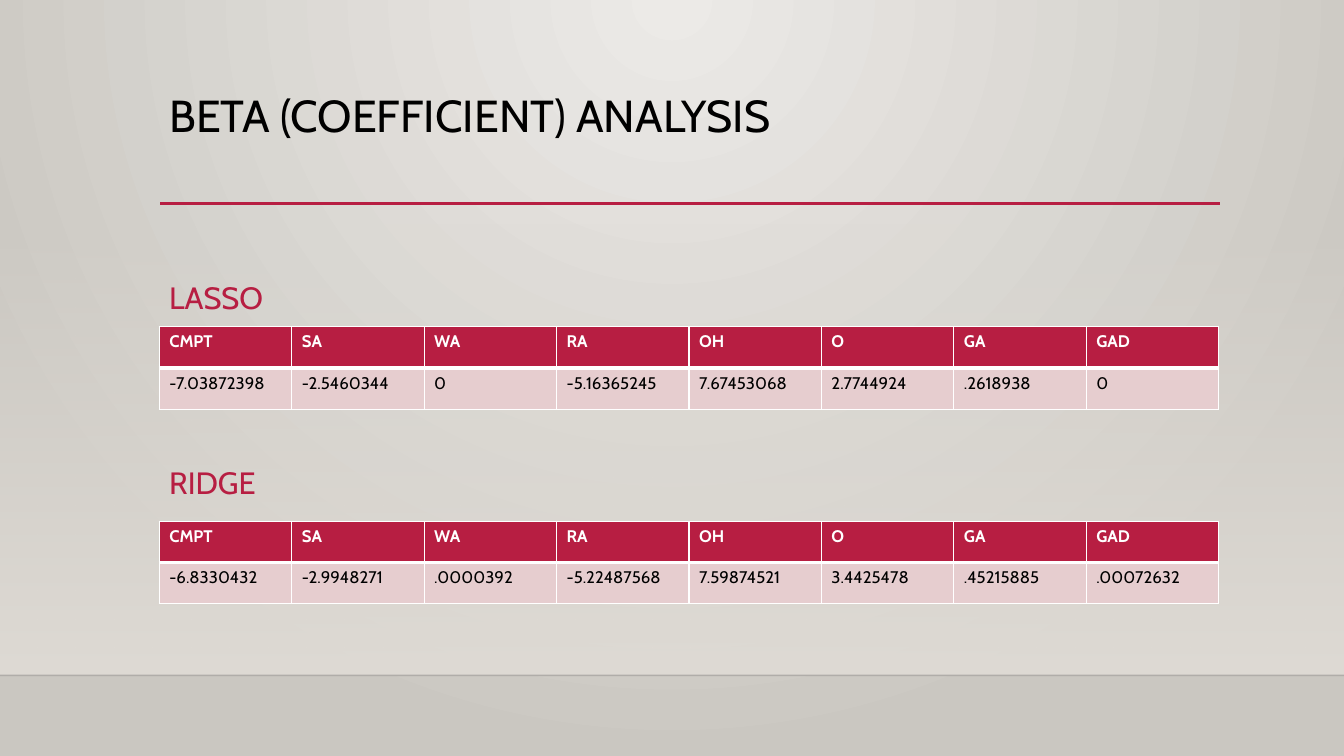
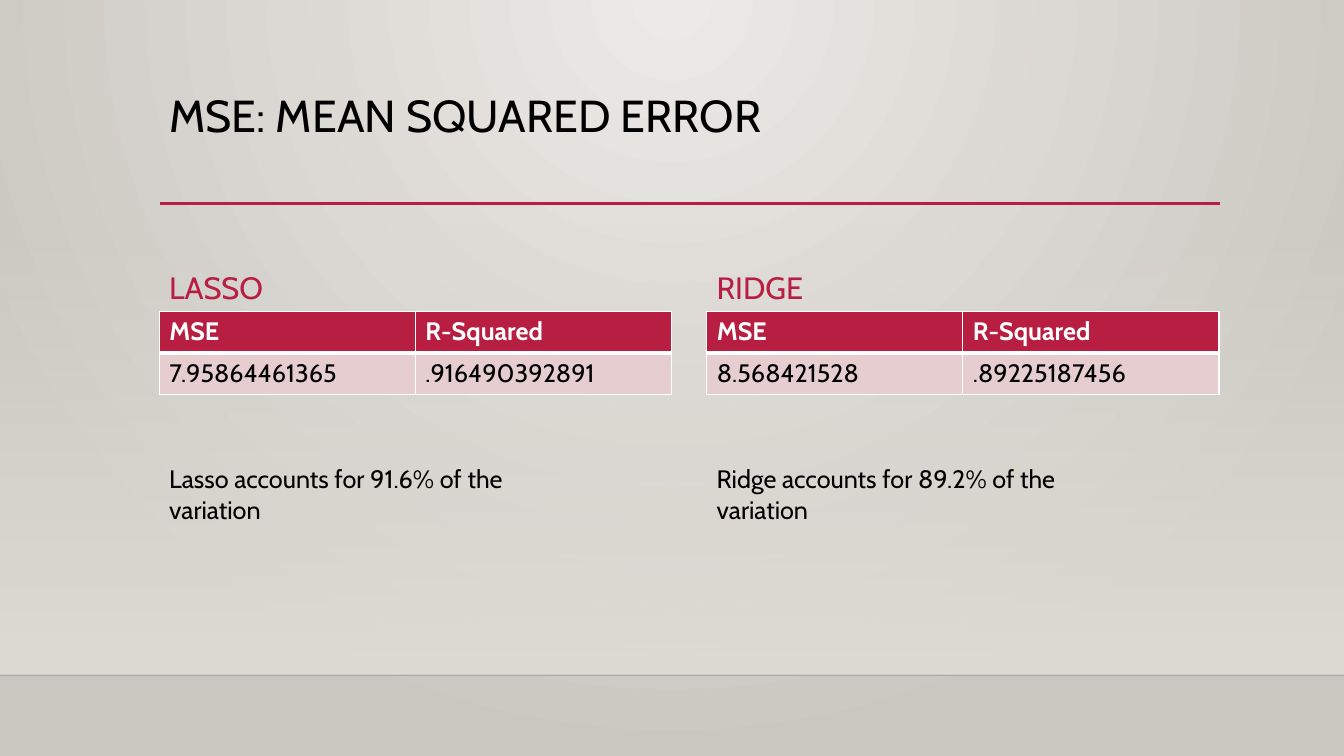
"""Build two slides comparing Lasso and Ridge regression results."""
from lxml import etree
from pptx import Presentation, util as u
from pptx.dml.color import RGBColor
from pptx.enum import shapes, text
from pptx.oxml.ns import qn

FONT = "Cabin"
CRIMSON = RGBColor(0xB7, 0x1E, 0x42)
BLUSH = RGBColor(0xE6, 0xCD, 0xCF)
WHITE = RGBColor(0xFF, 0xFF, 0xFF)
BLACK = RGBColor(0, 0, 0)
SHELF = RGBColor(0, 0, 1)
LIGHT = RGBColor(0xEC, 0xEA, 0xE7)
EDGE = RGBColor(0xCA, 0xC7, 0xC1)
WALL = RGBColor(0xDF, 0xDB, 0xD5)

WIDTH, HEIGHT = 13.33, 7.5
LEFT, CONTENT, HALF = 1.58, 10.51, 5.08
RIGHT = LEFT + CONTENT - HALF
WALL_TOP, FLOOR, RULE = 2.21, 6.7, 2.02
ROW, HEADING, NOTE_WIDTH = 0.41, 0.44, 4.41

BETA_NAMES = ["CMPT", "SA", "WA", "RA", "OH", "O", "GA", "GAD"]
LASSO_BETAS = ["-7.03872398", "-2.5460344", "0", "-5.16365245",
               "7.67453068", "2.7744924", ".2618938", "0"]
RIDGE_BETAS = ["-6.8330432", "-2.9948271", ".0000392", "-5.22487568",
               "7.59874521", "3.4425478", ".45215885", ".00072632"]
SCORE_NAMES = ["MSE", "R-Squared"]

SLIDES = [
    {"title": "BETA (COEFFICIENT) ANALYSIS", "names": BETA_NAMES, "width": CONTENT, "size": 12,
     "models": [
         {"name": "LASSO", "values": LASSO_BETAS, "left": LEFT, "top": 3.24, "gap": 0.05},
         {"name": "RIDGE", "values": RIDGE_BETAS, "left": LEFT, "top": 5.17, "gap": 0.15}]},
    {"title": "MSE: MEAN SQUARED ERROR", "names": SCORE_NAMES, "width": HALF, "size": 18,
     "models": [
         {"name": "LASSO", "values": ["7.95864461365", ".916490392891"], "left": LEFT,
          "top": 3.09, "gap": 0, "note": "Lasso accounts for 91.6% of the variation"},
         {"name": "RIDGE", "values": ["8.568421528", ".89225187456"], "left": RIGHT,
          "top": 3.09, "gap": 0, "note": "Ridge accounts for 89.2% of the variation"}]},
]
NOTE_TOP = 4.55


def inches(*lengths):
    return [u.Inches(length) for length in lengths]


def write(frame, words, size, color, bold=False):
    paragraph = frame.paragraphs[0]
    paragraph.alignment = text.PP_ALIGN.LEFT
    run = paragraph.add_run()
    run.text = words
    run.font.name, run.font.size, run.font.bold = FONT, u.Pt(size), bold
    run.font.color.rgb = color
    return paragraph


def set_alpha(color_element, percent):
    etree.SubElement(color_element, qn("a:alpha"), val=str(percent * 1000))


def blend(fill, first, last):
    fill.gradient()
    for stop, color in zip(fill.gradient_stops, (first, last)):
        stop.color.rgb = color
    fill.gradient_stops[0].position, fill.gradient_stops[1].position = 0, 1


def add_rule(slide, left, top, width, color, weight):
    rule = slide.shapes.add_connector(
        shapes.MSO_CONNECTOR.STRAIGHT, *inches(left, top, left + width, top))
    rule.line.color.rgb, rule.line.width = color, u.Pt(weight)
    etree.SubElement(rule.element.spPr, qn("a:effectLst"))
    return rule


def paint_background(layout):
    blend(layout.background.fill, LIGHT, EDGE)
    gradient = next(layout.element.iter(qn("a:gradFill")))
    gradient.remove(gradient.find(qn("a:lin")))
    glow = etree.SubElement(gradient, qn("a:path"))
    glow.set("path", "circle")
    etree.SubElement(glow, qn("a:fillToRect"), l="43000", t="0", r="43000", b="100000")


def add_backdrop(slide):
    wall = slide.shapes.add_shape(
        shapes.MSO_SHAPE.RECTANGLE, *inches(0, WALL_TOP, WIDTH, FLOOR - WALL_TOP))
    wall.shadow.inherit = False
    wall.line.fill.background()
    blend(wall.fill, WALL, WALL)
    wall.fill.gradient_angle = 270
    set_alpha(next(wall.element.spPr.iter(qn("a:srgbClr"))), 0)
    shelf = add_rule(slide, 0, FLOOR, WIDTH, SHELF, 1)
    set_alpha(next(shelf.element.spPr.iter(qn("a:srgbClr"))), 20)
    add_rule(slide, LEFT + 0.01, RULE, CONTENT, CRIMSON, 2.5)


def add_title(slide, words):
    title = slide.shapes.title
    title.left, title.top, title.width, title.height = inches(LEFT, 0.88, CONTENT, 1.16)
    frame = title.text_frame
    frame.auto_size = text.MSO_AUTO_SIZE.NONE
    frame.vertical_anchor = text.MSO_ANCHOR.TOP
    write(frame, words, 32, BLACK).line_spacing = 0.9


def add_text(slide, box, words, size, color, anchor):
    frame = slide.shapes.add_textbox(*inches(*box)).text_frame
    frame.word_wrap = True
    frame.vertical_anchor = anchor
    return write(frame, words, size, color)


def set_borders(cell, top, bottom):
    properties = cell._tc.get_or_add_tcPr()
    for side, weight in {"lnL": 1, "lnR": 1, "lnT": top, "lnB": bottom}.items():
        border = etree.SubElement(properties, qn(f"a:{side}"), w=str(u.Pt(weight)))
        solid = etree.SubElement(border, qn("a:solidFill"))
        etree.SubElement(solid, qn("a:srgbClr"), val=str(WHITE))


def add_results(slide, model, names, width, size):
    table = slide.shapes.add_table(
        2, len(names), *inches(model["left"], model["top"], width, 2 * ROW)).table
    for column in table.columns:
        column.width = u.Inches(width / len(names))
    styles = [(names, CRIMSON, WHITE, True, 1, 3),
              (model["values"], BLUSH, BLACK, False, 3, 1)]
    for row, (words, fill, ink, bold, top, bottom) in enumerate(styles):
        table.rows[row].height = u.Inches(ROW)
        for column, word in enumerate(words):
            cell = table.cell(row, column)
            set_borders(cell, top, bottom)
            cell.fill.solid()
            cell.fill.fore_color.rgb = fill
            write(cell.text_frame, word, size, ink, bold)


def add_model(slide, model, names, width, size):
    heading_top = model["top"] - model["gap"] - HEADING
    heading = add_text(slide, (model["left"], heading_top, HALF, HEADING), model["name"],
                       22, CRIMSON, text.MSO_ANCHOR.BOTTOM)
    heading.line_spacing = 0.9
    add_results(slide, model, names, width, size)
    if "note" in model:
        add_text(slide, (model["left"], NOTE_TOP, NOTE_WIDTH, 0.4), model["note"],
                 18, BLACK, text.MSO_ANCHOR.TOP)


def main():
    deck = Presentation()
    deck.slide_width, deck.slide_height = inches(WIDTH, HEIGHT)
    layout = deck.slide_layouts.get_by_name("Title Only")
    paint_background(layout)
    for content in SLIDES:
        slide = deck.slides.add_slide(layout)
        add_backdrop(slide)
        add_title(slide, content["title"])
        for model in content["models"]:
            add_model(slide, model, content["names"], content["width"], content["size"])
        title = slide.shapes.title.element
        title.getparent().insert(5, title)
    deck.save("out.pptx")


if __name__ == "__main__":
    main()
